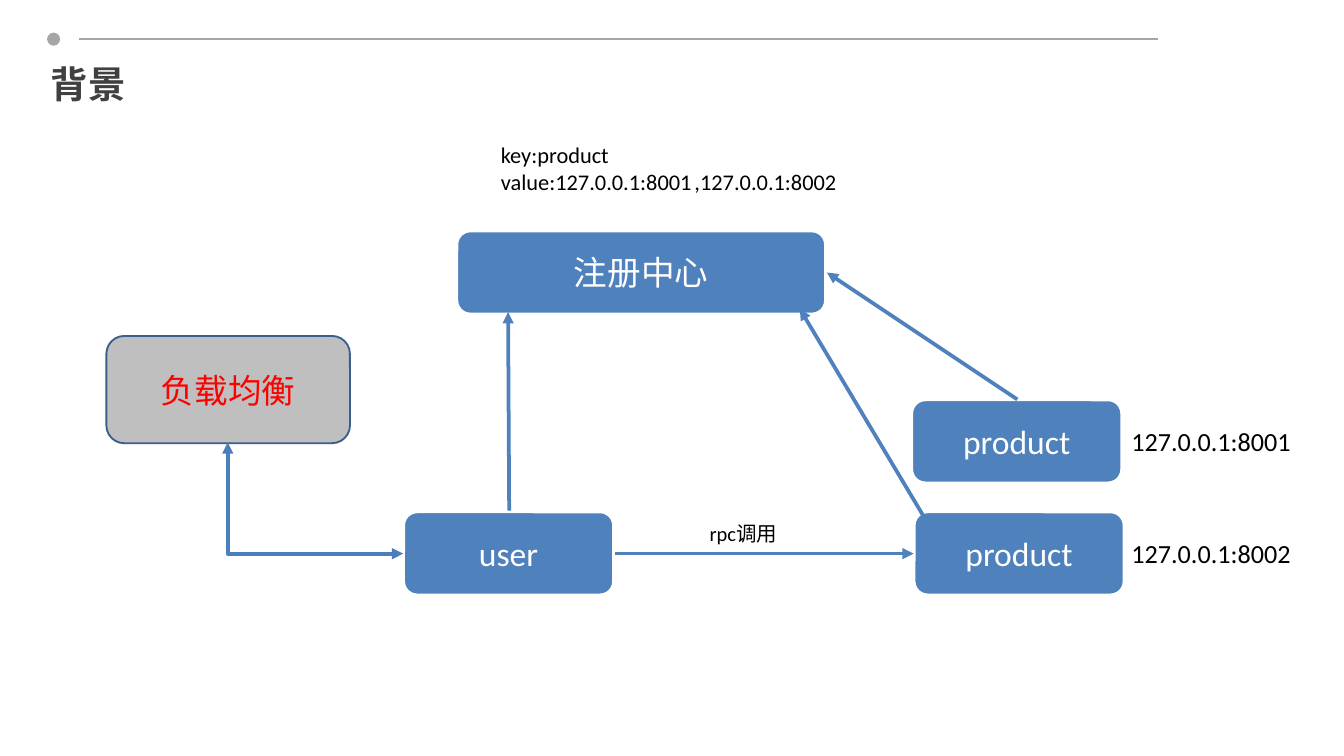
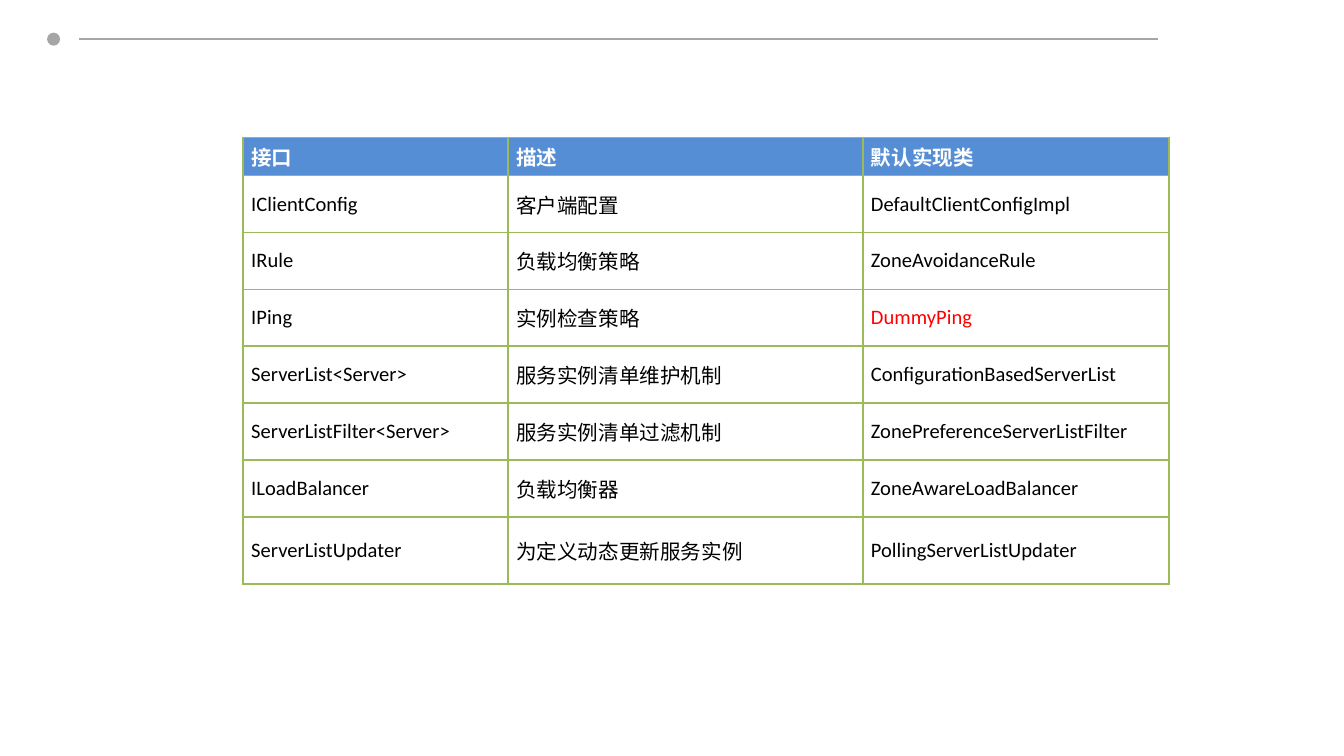
from lxml.etree import SubElement
from pptx import Presentation
from pptx.dml.color import RGBColor
from pptx.enum.shapes import MSO_CONNECTOR, MSO_SHAPE
from pptx.enum.text import MSO_ANCHOR, MSO_AUTO_SIZE, PP_ALIGN
from pptx.oxml.ns import qn
from pptx.util import Pt

BODY_FONT = "Calibri"
TITLE_FONT = "Noto Sans CJK SC"
WHITE, BLACK, RED = "FFFFFF", "000000", "FF0000"
BLUE, ELBOW_BLUE, HEADER_BLUE = "4F81BD", "4B7EBC", "558ED5"
BAND_GREY, TITLE_GREY = "A6A6A6", "404040"
BALANCER_FILL, BALANCER_EDGE = "BFBFBF", "3A5F8C"
GRID_GREEN = "9BBB59"

NODE_SIZE = (113, 45)
COLUMN_WIDTHS = (142, 190, 164)
ROW_HEIGHTS = (17.3, *[30.5] * 6, 36)
INTERFACES = (
    ("接口", "描述", "默认实现类"),
    ("IClientConfig", "客户端配置", "DefaultClientConfigImpl"),
    ("IRule", "负载均衡策略", "ZoneAvoidanceRule"),
    ("IPing", "实例检查策略", "DummyPing"),
    ("ServerList<Server>", "服务实例清单维护机制", "ConfigurationBasedServerList"),
    ("ServerListFilter<Server>", "服务实例清单过滤机制", "ZonePreferenceServerListFilter"),
    ("ILoadBalancer", "负载均衡器", "ZoneAwareLoadBalancer"),
    ("ServerListUpdater", "为定义动态更新服务实例", "PollingServerListUpdater"),
)
HIGHLIGHTED = "DummyPing"


def rgb(color):
    return RGBColor.from_string(color)


def write(frame, text, size, color, bold=False, align=PP_ALIGN.LEFT, font=BODY_FONT):
    """Fill a text frame; each line of the text becomes a paragraph."""
    frame.text = text
    for paragraph in frame.paragraphs:
        paragraph.alignment = align
        paragraph.font.name = font
        paragraph.font.size = Pt(size)
        paragraph.font.bold = bold
        paragraph.font.color.rgb = rgb(color)


def add_solid(slide, preset, left, top, width, height, fill, edge=None, edge_width=0):
    solid = slide.shapes.add_shape(preset, Pt(left), Pt(top), Pt(width), Pt(height))
    solid.shadow.inherit = False
    solid.fill.solid()
    solid.fill.fore_color.rgb = rgb(fill)
    if edge:
        solid.line.color.rgb = rgb(edge)
        solid.line.width = Pt(edge_width)
    else:
        solid.line.fill.background()
    return solid


def add_node(slide, text, left, top, width, height,
             fill=BLUE, edge=WHITE, edge_width=2, color=WHITE):
    node = add_solid(slide, MSO_SHAPE.ROUNDED_RECTANGLE, left, top, width, height,
                     fill, edge, edge_width)
    node.text_frame.vertical_anchor = MSO_ANCHOR.MIDDLE
    write(node.text_frame, text, 18, color, align=PP_ALIGN.CENTER)


def add_label(slide, text, left, top, width, height, size, wrap=False):
    label = slide.shapes.add_textbox(Pt(left), Pt(top), Pt(width), Pt(height))
    label.text_frame.word_wrap = wrap
    label.text_frame.auto_size = MSO_AUTO_SIZE.SHAPE_TO_FIT_TEXT
    write(label.text_frame, text, size, BLACK)


def add_title(slide, text):
    title = slide.shapes.add_textbox(Pt(20.2), Pt(31), Pt(476), Pt(28))
    title.text_frame.word_wrap = True
    title.text_frame.vertical_anchor = MSO_ANCHOR.MIDDLE
    write(title.text_frame, text, 20, TITLE_GREY, bold=True, font=TITLE_FONT)


def add_line(slide, start, end, color=BLUE, width=2, heads=(),
             kind=MSO_CONNECTOR.STRAIGHT):
    """Draw a connector; heads names the ends ("headEnd", "tailEnd") with arrows."""
    line = slide.shapes.add_connector(kind, *map(Pt, (*start, *end)))
    line.line.color.rgb = rgb(color)
    line.line.width = Pt(width)
    outline = line.line._get_or_add_ln()
    for head in heads:
        SubElement(outline, qn(f"a:{head}"), type="triangle")
    SubElement(line.element.spPr, qn("a:effectLst"))
    return line


def add_corner_arrow(slide, start, end):
    """Draw a two-headed arrow that runs down from start, then right to end."""
    (x1, y1), (x2, y2) = start, end
    middle_x, middle_y = (x1 + x2) / 2, (y1 + y2) / 2
    half_w, half_h = (y2 - y1) / 2, (x2 - x1) / 2
    arrow = add_line(slide, (middle_x + half_w, middle_y - half_h),
                     (middle_x - half_w, middle_y + half_h), ELBOW_BLUE,
                     heads=("headEnd", "tailEnd"), kind=MSO_CONNECTOR.ELBOW)
    properties = arrow.element.spPr
    properties.find(qn("a:xfrm")).set("rot", str(270 * 60000))
    properties.find(qn("a:prstGeom")).set("prst", "bentConnector2")


def add_band(slide):
    add_line(slide, (42.5, 21), (620.5, 21), BAND_GREY, 0.75)
    add_solid(slide, MSO_SHAPE.OVAL, 25.2, 17.5, 7, 7, BAND_GREY)


def add_cell_borders(cell):
    properties = cell._tc.get_or_add_tcPr()
    for position, side in enumerate(("lnL", "lnR", "lnT", "lnB")):
        border = properties.makeelement(qn(f"a:{side}"), {"w": str(Pt(1))})
        properties.insert(position, border)
        paint = SubElement(border, qn("a:solidFill"))
        SubElement(paint, qn("a:srgbClr"), val=GRID_GREEN)


def fill_cell(cell, text, is_header):
    cell.vertical_anchor = MSO_ANCHOR.MIDDLE
    cell.margin_left = cell.margin_right = Pt(4.3)
    cell.margin_top = cell.margin_bottom = Pt(2.2)
    if is_header:
        cell.fill.solid()
        cell.fill.fore_color.rgb = rgb(HEADER_BLUE)
        color = WHITE
    else:
        cell.fill.background()
        color = RED if text == HIGHLIGHTED else BLACK
    write(cell.text_frame, text, 11, color, bold=is_header)
    add_cell_borders(cell)


def add_interface_table(slide, left, top):
    table = slide.shapes.add_table(
        len(INTERFACES), len(COLUMN_WIDTHS), Pt(left), Pt(top),
        Pt(sum(COLUMN_WIDTHS)), Pt(sum(ROW_HEIGHTS))).table
    table.first_row = table.horz_banding = False
    for column, width in zip(table.columns, COLUMN_WIDTHS):
        column.width = Pt(width)
    for index, (row, height) in enumerate(zip(table.rows, ROW_HEIGHTS)):
        row.height = Pt(height)
        for cell, text in zip(row.cells, INTERFACES[index]):
            fill_cell(cell, text, is_header=index == 0)


def build_background_slide(slide):
    add_title(slide, "背景")
    add_node(slide, "user", 216, 274, *NODE_SIZE)
    add_node(slide, "注册中心", 244.5, 123.5, 198, 45)
    for left, top, address in ((488.2, 214, "127.0.0.1:8001"),
                               (489.5, 274, "127.0.0.1:8002")):
        add_node(slide, "product", left, top, *NODE_SIZE)
        add_label(slide, address, 599, top + 10.5, 101, 24.5, 14)
    add_label(slide, "key:product\nvalue:127.0.0.1:8001", 261.2, 72, 118, 36, 12)
    add_label(slide, ",127.0.0.1:8002", 365, 86.4, 91.5, 21.6, 12)
    for start, end in (((545, 214), (443, 146)),
                       ((499.5, 284.5), (428.5, 165.5)),
                       ((272.8, 273.6), (272.2, 167.2)),
                       ((329.5, 296.6), (489.5, 296.6))):
        add_line(slide, start, end, heads=("tailEnd",))
    add_node(slide, "负载均衡", 57, 180, 130.5, 57.5,
             BALANCER_FILL, BALANCER_EDGE, 1, RED)
    add_label(slide, "rpc调用", 373, 275.8, 51, 21, 11, wrap=True)
    add_corner_arrow(slide, (122, 237), (216, 296.6))


def build_interface_slide(slide):
    add_interface_table(slide, 130.3, 73.7)


def main():
    deck = Presentation()
    deck.slide_width, deck.slide_height = Pt(720), Pt(405)
    for build in (build_background_slide, build_interface_slide):
        slide = deck.slides.add_slide(deck.slide_layouts[6])
        add_band(slide)
        build(slide)
    deck.save("out.pptx")


if __name__ == "__main__":
    main()
